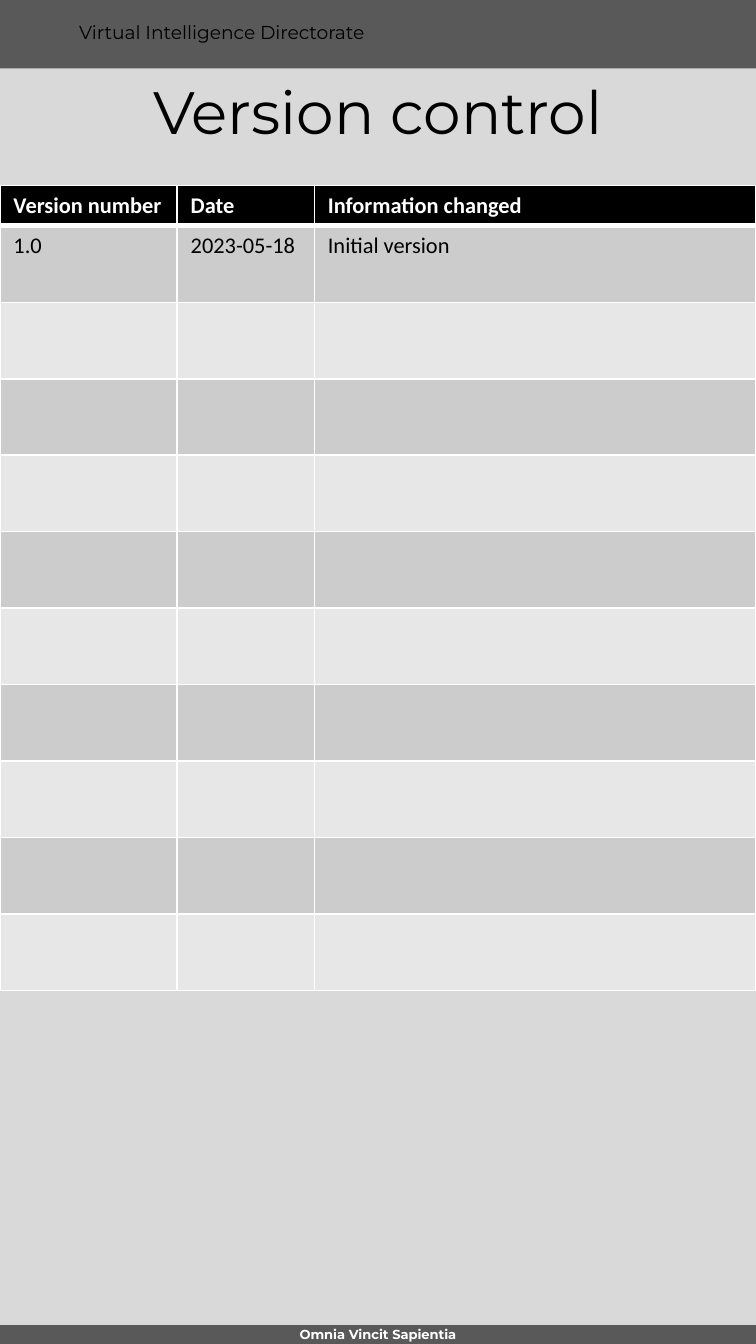
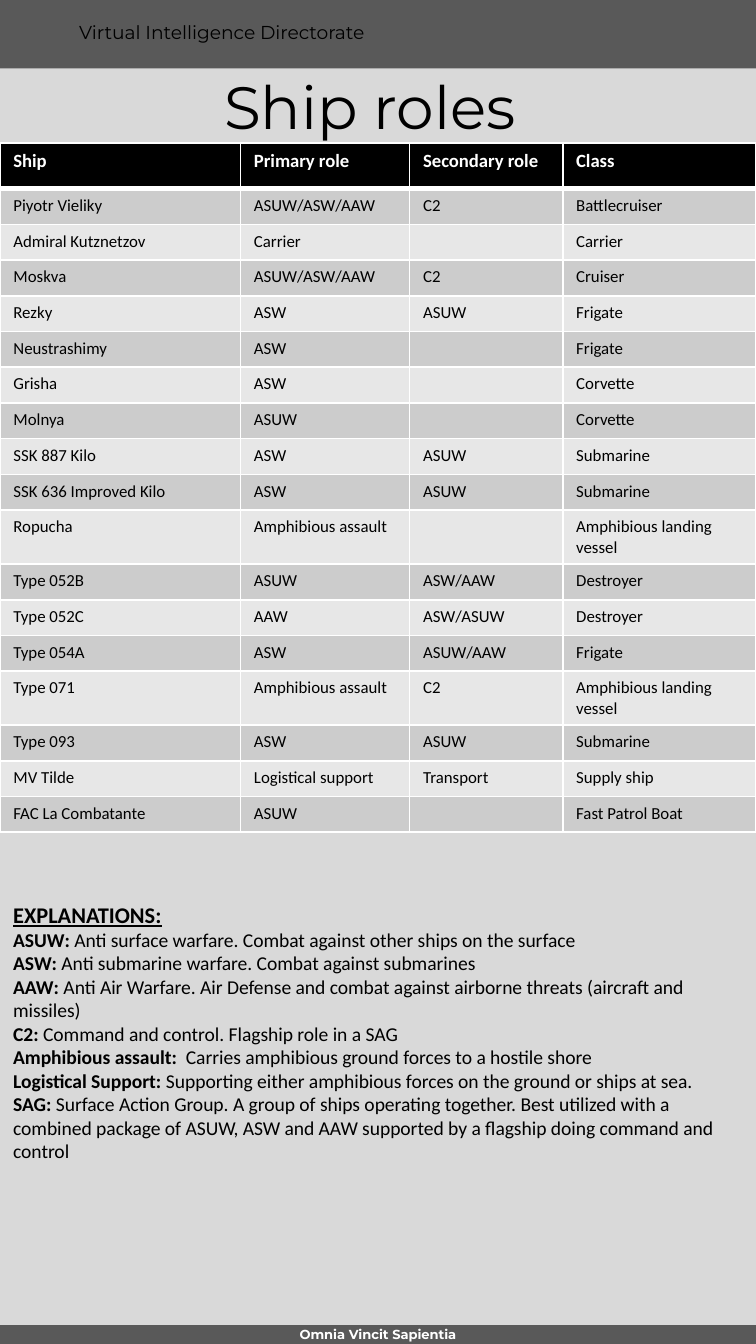
import dataclasses

import lxml.etree
import pptx
import pptx.dml.color
import pptx.enum.shapes
import pptx.enum.text
import pptx.oxml.ns
import pptx.util

Align = pptx.enum.text.PP_ALIGN
Anchor = pptx.enum.text.MSO_ANCHOR
Fit = pptx.enum.text.MSO_AUTO_SIZE
qn = pptx.oxml.ns.qn


@dataclasses.dataclass(frozen=True)
class Theme:
    back: str = "D9D9D9"
    band: str = "595959"
    dark: str = "000000"
    light: str = "FFFFFF"
    odd: str = "CCCCCC"
    even: str = "E7E7E7"
    head: str = "Montserrat"
    body: str = "Calibri"
    title: float = 32
    large: float = 12
    note: float = 10.5
    label: float = 10
    small: float = 9
    foot: float = 7
    rule: float = 1
    thick: float = 3


THEME = Theme()

# An upright 9:16 page, seen as a grid of 100 columns by 100 rows
HEIGHT = pptx.util.Inches(10)
WIDTH = HEIGHT * 9 // 16
TOP = 5.1
BASE = 98.6

LOG = [
    ("Version number", "Date", "Information changed"),
    ("1.0", "2023-05-18", "Initial version"),
] + [("", "", "")] * 9

SHIPS = [
    ("Ship", "Primary role", "Secondary role", "Class"),
    ("Piyotr Vieliky", "ASUW/ASW/AAW", "C2", "Battlecruiser"),
    ("Admiral Kutznetzov", "Carrier", "", "Carrier"),
    ("Moskva", "ASUW/ASW/AAW", "C2", "Cruiser"),
    ("Rezky", "ASW", "ASUW", "Frigate"),
    ("Neustrashimy", "ASW", "", "Frigate"),
    ("Grisha", "ASW", "", "Corvette"),
    ("Molnya", "ASUW", "", "Corvette"),
    ("SSK 887 Kilo", "ASW", "ASUW", "Submarine"),
    ("SSK 636 Improved Kilo", "ASW", "ASUW", "Submarine"),
    ("Ropucha", "Amphibious assault", "", "Amphibious landing vessel"),
    ("Type 052B", "ASUW", "ASW/AAW", "Destroyer"),
    ("Type 052C", "AAW", "ASW/ASUW", "Destroyer"),
    ("Type 054A", "ASW", "ASUW/AAW", "Frigate"),
    ("Type 071", "Amphibious assault", "C2", "Amphibious landing vessel"),
    ("Type 093", "ASW", "ASUW", "Submarine"),
    ("MV Tilde", "Logistical support", "Transport", "Supply ship"),
    ("FAC La Combatante", "ASUW", "", "Fast Patrol Boat"),
]

TERMS = [
    ("ASUW: ", "Anti surface warfare. Combat against other ships on the surface"),
    ("ASW: ", "Anti submarine warfare. Combat against submarines"),
    ("AAW: ", "Anti Air Warfare. Air Defense and combat against airborne "
     "threats (aircraft and missiles)"),
    ("C2: ", "Command and control. Flagship role in a SAG"),
    ("Amphibious assault:  ", "Carries amphibious ground forces to a hostile shore"),
    ("Logistical Support: ", "Supporting either amphibious forces on the ground "
     "or ships at sea."),
    ("SAG: ", "Surface Action Group. A group of ships operating together. Best "
     "utilized with a combined package of ASUW, ASW and AAW supported by a "
     "flagship doing command and control"),
]


# Grid and colour helpers
def across(cols):
    return round(WIDTH * cols / 100)


def down(rows):
    return round(HEIGHT * rows / 100)


def place(left, top, cols, rows):
    return across(left), down(top), across(cols), down(rows)


def paint(fill, tone):
    fill.solid()
    fill.fore_color.rgb = pptx.dml.color.RGBColor.from_string(tone)


def style(name, size, tone=THEME.dark, **more):
    return {"name": name, "size": pptx.util.Pt(size), "tone": tone, **more}


# Text
def write(para, text, form):
    run = para.add_run()
    run.text = text
    for key, value in form.items():
        if key == "tone":
            run.font.color.rgb = pptx.dml.color.RGBColor.from_string(value)
        else:
            setattr(run.font, key, value)


def add_text(slide, spot, lines, align=Align.LEFT, **frame):
    """Each line is a list of (text, style) runs."""
    box = slide.shapes.add_textbox(*place(*spot)).text_frame
    for key, value in {"word_wrap": True, **frame}.items():
        setattr(box, key, value)
    for i, runs in enumerate(lines):
        para = box.add_paragraph() if i else box.paragraphs[0]
        para.alignment = align
        for text, form in runs:
            write(para, text, form)


# Shared page parts
def add_band(slide, top, rows):
    band = slide.shapes.add_shape(
        pptx.enum.shapes.MSO_SHAPE.RECTANGLE, *place(0, top, 100, rows))
    band.shadow.inherit = False
    band.line.fill.background()
    paint(band.fill, THEME.band)


def add_page(deck, title, rows):
    slide = deck.slides.add_slide(deck.slide_layouts[6])
    paint(slide.background.fill, THEME.back)
    add_band(slide, 0, TOP)
    add_band(slide, BASE, 100 - BASE)
    add_text(slide, (8.72, 1.05, 68.68, 2.7),
             [[("Virtual Intelligence Directorate", style(THEME.head, THEME.label))]],
             auto_size=Fit.SHAPE_TO_FIT_TEXT)
    sides = ("left", "top", "right", "bottom")
    add_text(slide, (0, 98.7, 100, 1.2),
             [[("Omnia Vincit Sapientia",
                style(THEME.head, THEME.foot, THEME.light, bold=True))]],
             Align.CENTER, auto_size=Fit.SHAPE_TO_FIT_TEXT,
             **{f"margin_{side}": 0 for side in sides})
    add_text(slide, (0, TOP, 100, rows),
             [[(title, style(THEME.head, THEME.title))]],
             Align.CENTER, vertical_anchor=Anchor.MIDDLE)
    return slide


# Tables
def add_rules(cell, widths):
    props = cell._tc.get_or_add_tcPr()
    for side, width in zip("LRTB", widths):
        line = lxml.etree.SubElement(
            props, qn(f"a:ln{side}"), w=str(pptx.util.Pt(width)))
        fill = lxml.etree.SubElement(line, qn("a:solidFill"))
        lxml.etree.SubElement(fill, qn("a:srgbClr"), val=THEME.light)


def add_grid(slide, top, data, cols, first, rest, sizes):
    """Column widths and row heights are in grid units."""
    total = first + rest * (len(data) - 1)
    grid = slide.shapes.add_table(
        len(data), len(cols), *place(0, top, 100, total)).table
    for col, share in zip(grid.columns, cols):
        col.width = across(share)
    head = style(THEME.body, sizes[0], THEME.light, bold=True)
    body = style(THEME.body, sizes[1], bold=False)
    for r, texts in enumerate(data):
        grid.rows[r].height = down(rest if r else first)
        tone = (THEME.odd if r % 2 else THEME.even) if r else THEME.dark
        over = THEME.thick if r == 1 else THEME.rule
        under = THEME.rule if r else THEME.thick
        for c, text in enumerate(texts):
            cell = grid.cell(r, c)
            add_rules(cell, (THEME.rule, THEME.rule, over, under))
            paint(cell.fill, tone)
            para = cell.text_frame.paragraphs[0]
            if text:
                write(para, text, body if r else head)
            else:
                # Keeps an empty cell from stretching its row
                lxml.etree.SubElement(
                    para._p, qn("a:endParaRPr"), sz=str(sizes[1] * 100))


def main():
    deck = pptx.Presentation()
    deck.slide_width, deck.slide_height = WIDTH, HEIGHT

    # Version control
    page = add_page(deck, "Version control", 6.3)
    add_grid(page, 13.8, LOG, (23.45, 18.15, 58.4), 3, 5.69,
             (THEME.large, THEME.large))

    # Ship roles
    page = add_page(deck, "Ship roles ", 5.5)
    add_grid(page, 10.64, SHIPS, (31.82, 22.38, 20.25, 25.55), 3.4, 2.66,
             (THEME.label, THEME.small))

    # Explanations
    head = style(THEME.body, THEME.large, bold=True, underline=True)
    term = style(THEME.body, THEME.note, bold=True)
    gloss = style(THEME.body, THEME.note, bold=False)
    lines = [[("EXPLANATIONS:", head)]]
    lines += [[(name, term), (text, gloss)] for name, text in TERMS]
    add_text(page, (0, 66.54, 100, 20.7), lines, auto_size=Fit.SHAPE_TO_FIT_TEXT)

    deck.save("out.pptx")


if __name__ == "__main__":
    main()
